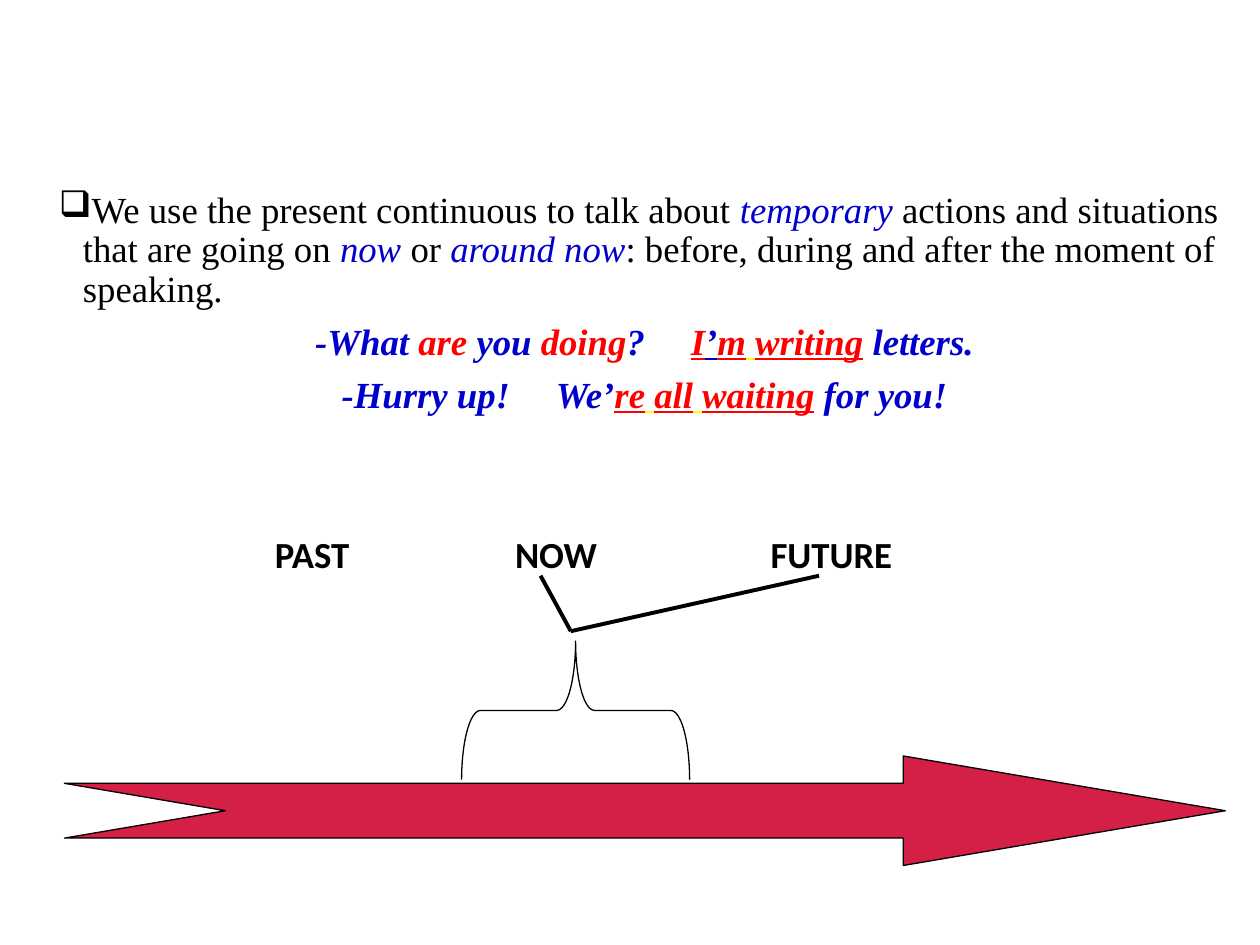
from lxml import etree
from pptx import Presentation
from pptx.dml.color import RGBColor
from pptx.enum.shapes import MSO_CONNECTOR, MSO_SHAPE
from pptx.enum.text import PP_ALIGN
from pptx.oxml.ns import qn
from pptx.util import Pt

LINE = MSO_CONNECTOR.STRAIGHT
ARROW = MSO_SHAPE.NOTCHED_RIGHT_ARROW
BRACE = MSO_SHAPE.RIGHT_BRACE
LEFT, CENTER = PP_ALIGN.LEFT, PP_ALIGN.CENTER

BLACK, BLUE, RED, YELLOW = "000000", "0000CC", "FF0000", "FFFF00"
SIZE = 21
HANG = 13.7
GAP = 21

PLAIN = {}
TERM = {"color": BLUE, "italic": True}
SAY = {"color": BLUE, "bold": True, "italic": True}
VERB = {**SAY, "color": RED}
MARK = {**VERB, "under": True}
JOIN = {**MARK, "color": YELLOW}
WIDE = {**SAY, "space": GAP}

RULE = [
    ("We use the present continuous to talk about ", PLAIN),
    ("temporary ", TERM),
    ("actions and situations that are going on ", PLAIN),
    ("now", TERM),
    (" or ", PLAIN),
    ("around now", TERM),
    (": before, during and after the moment of speaking.", PLAIN),
]
ASK = [
    ("-What ", SAY), ("are ", VERB), ("you ", SAY), ("doing", VERB),
    ("?", SAY), (" ", WIDE), ("I", MARK), ("’", {**MARK, "color": BLUE}),
    ("m", MARK), (" ", JOIN), ("writing", MARK), (" letters.", SAY),
]
HURRY = [
    ("-Hurry up!", SAY), (" ", WIDE), ("We’", SAY), ("re", MARK),
    (" ", JOIN), ("all", MARK), (" ", JOIN), ("waiting", MARK),
    (" for you!", SAY),
]
TIMES = [("PAST", 178.3), ("NOW", 317.7), ("FUTURE", 475.1)]


def rgb(code):
    """Turn a hex string into a colour."""
    return RGBColor.from_string(code)


def add_run(para, text, font="Times New Roman", color=BLACK, bold=False,
            italic=False, under=False, space=0):
    """Add formatted text to a paragraph."""
    run = para.add_run()
    run.text = text
    face = run.font
    face.name, face.size = font, Pt(SIZE)
    face.bold, face.italic, face.underline = bold, italic, under
    face.color.rgb = rgb(color)
    if space:
        run._r.get_or_add_rPr().set("spc", str(space * 100))


def add_box(slide, left, top, width, height):
    """Add a wrapping text box and return its frame."""
    frame = slide.shapes.add_textbox(
        Pt(left), Pt(top), Pt(width), Pt(height)).text_frame
    frame.word_wrap = True
    return frame


def set_hang(para, bullet=None):
    """Give a paragraph a hanging indent and perhaps a bullet."""
    props = para._p.get_or_add_pPr()
    props.set("marL", str(Pt(HANG)))
    props.set("indent", str(-Pt(HANG)))
    if bullet:
        etree.SubElement(props, qn("a:buChar")).set("char", bullet)


def add_body(slide):
    """Add the rule and its two examples."""
    frame = add_box(slide, 26.6, 105.8, 683.3, 150)
    rows = [(RULE, LEFT, "❑"), (ASK, CENTER, None), (HURRY, CENTER, None)]
    for i, (runs, align, bullet) in enumerate(rows):
        para = frame.add_paragraph() if i else frame.paragraphs[0]
        set_hang(para, bullet)
        para.alignment = align
        para.line_spacing = 0.9
        para.space_before = Pt(7.5 if i else 0)
        for text, style in runs:
            add_run(para, text, **style)


def add_label(slide, text, mid):
    """Add a time label centred on a point."""
    width = 110
    frame = add_box(slide, mid - width / 2, 300.4, width, 33)
    para = frame.paragraphs[0]
    para.alignment = CENTER
    add_run(para, text, font="Calibri", bold=True)


def add_form(slide, kind, left, top, width, height, adjust, fill=None, turn=0):
    """Add an outlined preset shape."""
    form = slide.shapes.add_shape(
        kind, Pt(left), Pt(top), Pt(width), Pt(height))
    form.shadow.inherit = False
    form.rotation = turn
    for i, value in enumerate(adjust):
        form.adjustments[i] = value
    if fill:
        form.fill.solid()
        form.fill.fore_color.rgb = rgb(fill)
    else:
        form.fill.background()
    form.line.color.rgb = rgb(BLACK)
    form.line.width = Pt(0.75)


def add_line(slide, start, end):
    """Add a thick straight line."""
    line = slide.shapes.add_connector(LINE, *map(Pt, start + end))
    line.line.color.rgb = rgb(BLACK)
    line.line.width = Pt(2.25)
    etree.SubElement(line._element.spPr, qn("a:effectLst"))


def main():
    """Build the slide and save it."""
    deck = Presentation()
    deck.slide_width, deck.slide_height = Pt(720), Pt(540)
    slide = deck.slides.add_slide(deck.slide_layouts[6])
    add_body(slide)
    for text, mid in TIMES:
        add_label(slide, text, mid)
    add_form(slide, ARROW, 36.8, 432, 663.4, 62.6, (0.5, 2.94), fill="D42047")
    add_form(slide, BRACE, 289.3, 340.8, 79.2, 130.3, (0.136, 0.5), turn=270)
    for x in (468, 308.9):
        add_line(slide, (x, 329), (326.2, 360.7))
    deck.save("out.pptx")


if __name__ == "__main__":
    main()
